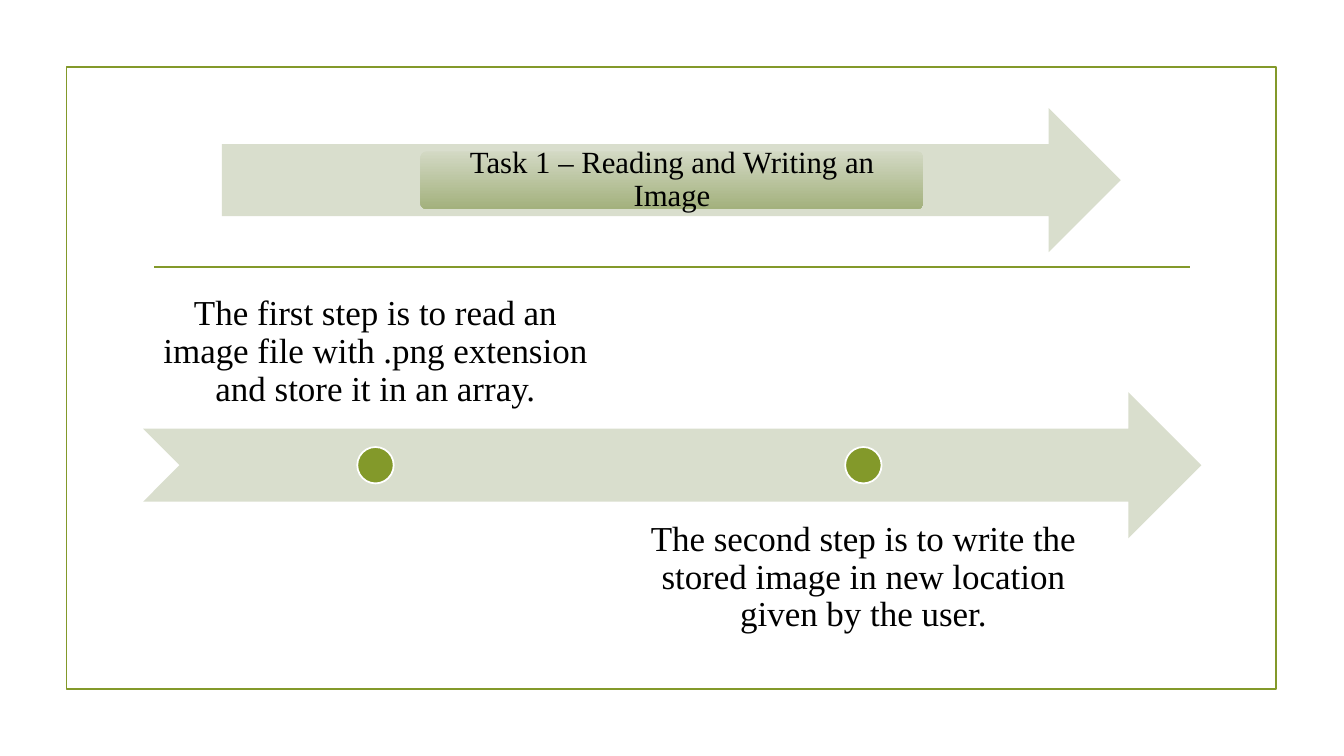
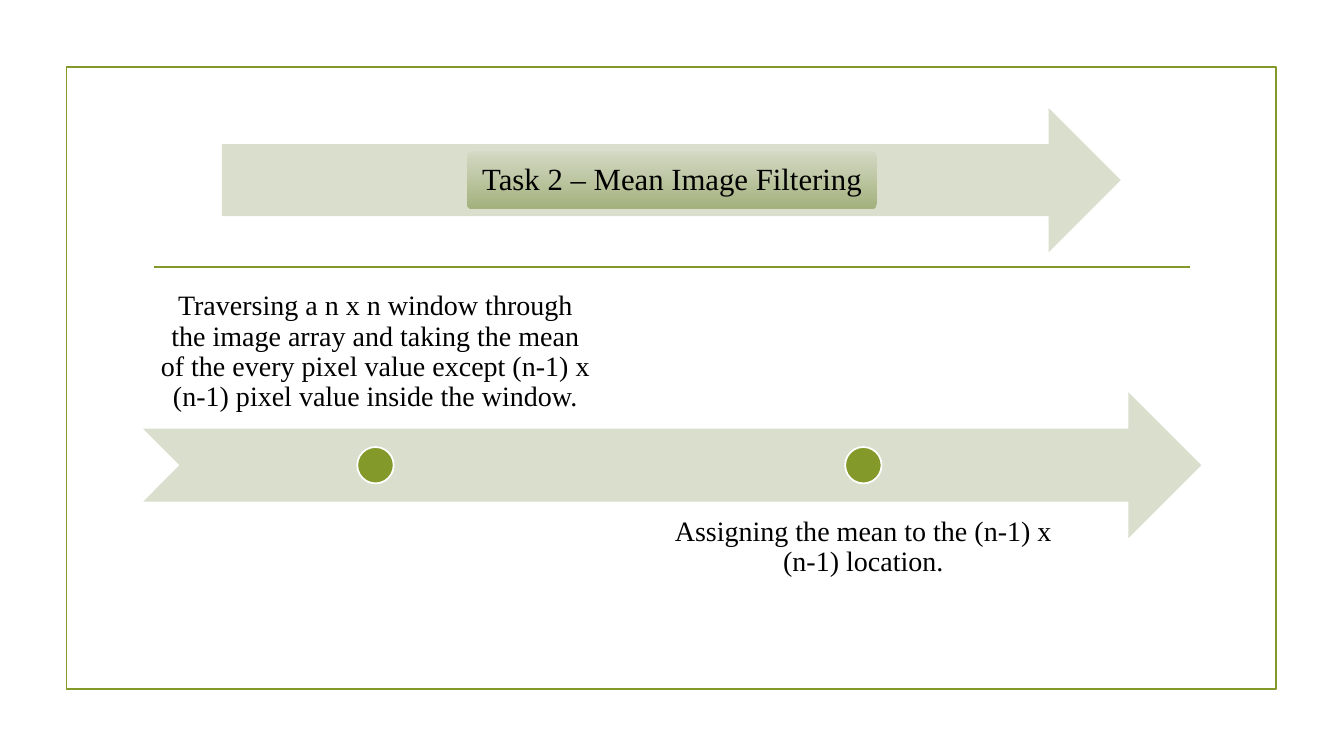
import pptx
import pptx.util
import pptx.dml.color
import pptx.enum.dml
import pptx.enum.shapes
import pptx.enum.text
import pptx.oxml.ns
from lxml import etree

Pt = pptx.util.Pt
SHAPE = pptx.enum.shapes.MSO_SHAPE
ANCHOR = pptx.enum.text.MSO_ANCHOR

SLIDES = [
    {"title": "Task 1 – Reading and Writing an Image", "title_width": 359.2,
     "size": 25, "inset": 14,
     "steps": ["The first step is to read an image file with .png extension and store it in an array.",
               "The second step is to write the stored image in new location given by the user."]},
    {"title": "Task 2 – Mean Image Filtering", "title_width": 293,
     "size": 20, "inset": 11.2,
     "steps": ["Traversing a n x n window through the image array and taking the mean of the every "
               "pixel value except (n-1) x (n-1) pixel value inside the window.",
               "Assigning the mean to the (n-1) x (n-1) location."]},
]

COLORS = {"accent": "83992A", "arrow": "D9DECD", "text": "000000", "white": "FFFFFF",
          "pill_top": "D3D9C4", "pill_bottom": "A3B17D"}
FONT = "Times New Roman"
WIDTH, HEIGHT = 960, 540
LINE_WIDTH = 1.25

FRAME = (47.6, 48, 864, 444)
RULE = (110.2, 850.3, 190.8)
TITLE_ARROW = (158.4, 77.2, 642.2, 103)
PILL_HEIGHT, PILL_MARGIN = 41, 2.2
TIMELINE = (102.2, 280.1, 756, 104.4)
STEP_TOP, STEP_WIDTH, STEP_PITCH = 201.6, 332, 348.5
DOT = 26


def rgb(name):
    return pptx.dml.color.RGBColor.from_string(COLORS[name])


def add_shape(s, kind, box, fill=None, line=None):
    sp = s.shapes.add_shape(kind, *map(Pt, box))
    sp.shadow.inherit = False
    if fill:
        sp.fill.solid()
        sp.fill.fore_color.rgb = rgb(fill)
    else:
        sp.fill.background()
    if line:
        sp.line.color.rgb = rgb(line)
        sp.line.width = Pt(LINE_WIDTH)
    else:
        sp.line.fill.background()
    return sp


def set_text(sp, text, size, inset, anchor):
    tf = sp.text_frame
    margins = {"margin_" + side: Pt(inset) for side in ("left", "top", "right", "bottom")}
    frame_format = {"word_wrap": True, "auto_size": pptx.enum.text.MSO_AUTO_SIZE.NONE,
                    "vertical_anchor": anchor, **margins}
    for name, value in frame_format.items():
        setattr(tf, name, value)
    p = tf.paragraphs[0]
    p.alignment = pptx.enum.text.PP_ALIGN.CENTER
    p.line_spacing = 0.9
    r = p.add_run()
    r.text = text
    for name, value in {"name": FONT, "size": Pt(size)}.items():
        setattr(r.font, name, value)
    r.font.color.rgb = rgb("text")


def add_frame(s):
    add_shape(s, SHAPE.RECTANGLE, FRAME, line="accent")
    left, right, y = RULE
    rule = s.shapes.add_connector(pptx.enum.shapes.MSO_CONNECTOR.STRAIGHT,
                                  Pt(left), Pt(y), Pt(right), Pt(y))
    rule.line.color.rgb = rgb("accent")
    rule.line.width = Pt(LINE_WIDTH)
    etree.SubElement(rule._element.spPr, pptx.oxml.ns.qn("a:effectLst"))


def add_title(s, text, width):
    add_shape(s, SHAPE.RIGHT_ARROW, TITLE_ARROW, fill="arrow")
    left = (WIDTH - width) / 2
    top = TITLE_ARROW[1] + (TITLE_ARROW[3] - PILL_HEIGHT) / 2
    pill = add_shape(s, SHAPE.ROUNDED_RECTANGLE, (left, top, width, PILL_HEIGHT))
    pill.adjustments[0] = 0.1
    pill.fill.gradient()
    pill.fill.gradient_angle = 270
    for stop, color in zip(pill.fill.gradient_stops, ("pill_top", "pill_bottom")):
        stop.color.rgb = rgb(color)

    title = s.shapes.title
    s.shapes._spTree.append(title._element)  # bring the title in front of its pill
    box = {"left": left + PILL_MARGIN, "top": top + PILL_MARGIN,
           "width": width - 2 * PILL_MARGIN, "height": PILL_HEIGHT - 2 * PILL_MARGIN}
    for name, value in box.items():
        setattr(title, name, Pt(value))
    set_text(title, text, 22, 6.6, ANCHOR.MIDDLE)


def add_timeline(s, steps, size, inset):
    """Steps alternate above and below the arrow, each with a dot on it."""
    add_shape(s, SHAPE.NOTCHED_RIGHT_ARROW, TIMELINE, fill="arrow")
    x, y, _, height = TIMELINE
    for i, text in enumerate(steps):
        left = x + i * STEP_PITCH
        below = i % 2
        top = STEP_TOP + below * 1.5 * height
        tb = s.shapes.add_textbox(Pt(left), Pt(top), Pt(STEP_WIDTH), Pt(height))
        set_text(tb, text, size, inset, ANCHOR.TOP if below else ANCHOR.BOTTOM)
        add_shape(s, SHAPE.OVAL, (left + (STEP_WIDTH - DOT) / 2, y + (height - DOT) / 2, DOT, DOT),
                  fill="accent", line="white")


def main():
    prs = pptx.Presentation()
    prs.slide_width, prs.slide_height = Pt(WIDTH), Pt(HEIGHT)
    for content in SLIDES:
        s = prs.slides.add_slide(prs.slide_layouts[5])
        add_frame(s)
        add_title(s, content["title"], content["title_width"])
        add_timeline(s, content["steps"], content["size"], content["inset"])
    prs.save("out.pptx")


if __name__ == "__main__":
    main()
